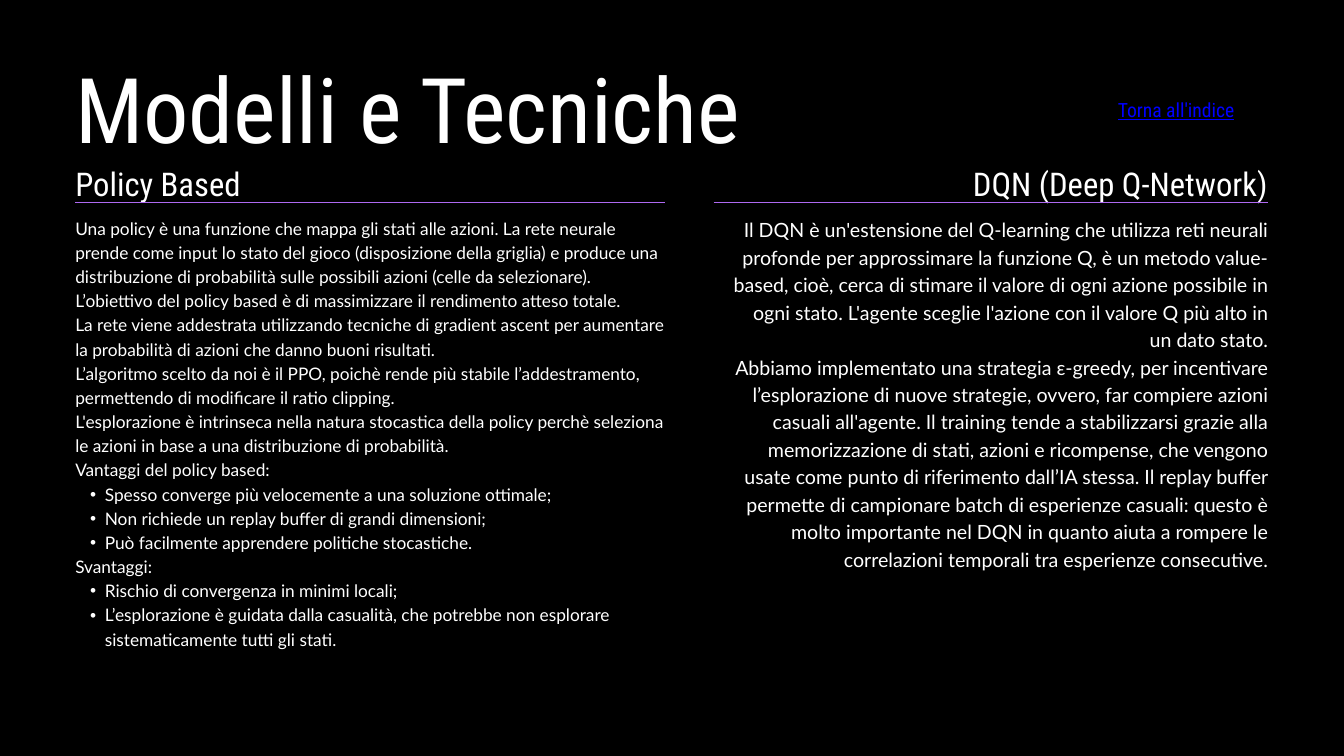
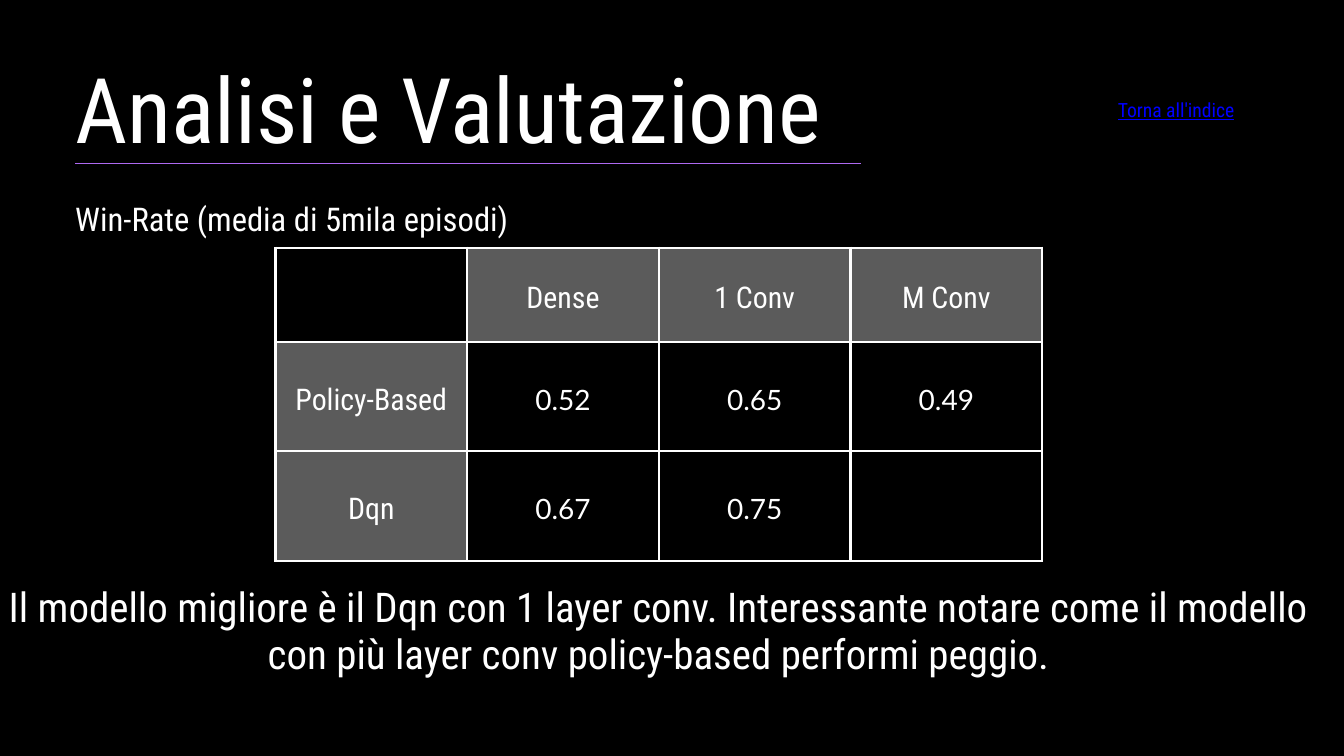
from lxml import etree
from pptx import Presentation
from pptx.dml.color import RGBColor
from pptx.enum.shapes import MSO_CONNECTOR
from pptx.enum.text import MSO_ANCHOR, MSO_AUTO_SIZE, PP_ALIGN as Align
from pptx.oxml import parse_xml
from pptx.oxml.ns import nsdecls, qn
from pptx.util import Inches, Pt

BLACK, WHITE, PURPLE, GREY, BLUE = "000000", "FFFFFF", "AE69F1", "5B5B5B", "0000FF"
HEADING_FONT, BODY_FONT = "Roboto Condensed", "Lato"
LEFT = 1.12
TITLE_BOX = (LEFT, 0.87, 11.69, 1.55)
INDEX_BOX = (15.85, 1.4, 2.52, 0.39)
HEADING_HEIGHT = 0.65
BULLET = "•"

TITLE = dict(font=HEADING_FONT, size=97, spacing=110.6)
HEADING = dict(font=HEADING_FONT, size=35, spacing=49)
INDEX = dict(font=HEADING_FONT, size=21, spacing=29.4, color=BLUE,
             underline=True, align=Align.RIGHT)
POLICY_BODY = dict(font=BODY_FONT, size=18.5, spacing=25.9)
DQN_BODY = dict(font=BODY_FONT, size=21, spacing=29.4, align=Align.RIGHT)
CONCLUSION = dict(font=HEADING_FONT, size=43.9, spacing=50, align=Align.CENTER)
TABLE_LABEL = dict(font=HEADING_FONT, size=32, spacing=44.8, align=Align.CENTER)
TABLE_VALUE = dict(font=BODY_FONT, size=30, spacing=42, align=Align.CENTER)

POLICY_TEXT = [
    "Una policy è una funzione che mappa gli stati alle azioni. La rete neurale prende come "
    "input lo stato del gioco (disposizione della griglia) e produce una distribuzione di "
    "probabilità sulle possibili azioni (celle da selezionare). L’obiettivo del policy based "
    "è di massimizzare il rendimento atteso totale.",
    "La rete viene addestrata utilizzando tecniche di gradient ascent per aumentare la "
    "probabilità di azioni che danno buoni risultati.",
    "L’algoritmo scelto da noi è il PPO, poichè rende più stabile l’addestramento, "
    "permettendo di modificare il ratio clipping.",
    "L'esplorazione è intrinseca nella natura stocastica della policy perchè seleziona le "
    "azioni in base a una distribuzione di probabilità.",
    "Vantaggi del policy based:",
    BULLET + "Spesso converge più velocemente a una soluzione ottimale;",
    BULLET + "Non richiede un replay buffer di grandi dimensioni;",
    BULLET + "Può facilmente apprendere politiche stocastiche.",
    "Svantaggi:",
    BULLET + "Rischio di convergenza in minimi locali;",
    BULLET + "L’esplorazione è guidata dalla casualità, che potrebbe non esplorare "
    "sistematicamente tutti gli stati.",
]
DQN_TEXT = [
    "Il DQN è un'estensione del Q-learning che utilizza reti neurali profonde per "
    "approssimare la funzione Q, è un metodo value-based, cioè, cerca di stimare il valore "
    "di ogni azione possibile in ogni stato. L'agente sceglie l'azione con il valore Q più "
    "alto in un dato stato.",
    "Abbiamo implementato una strategia ε-greedy, per incentivare l’esplorazione di nuove "
    "strategie, ovvero, far compiere azioni casuali all'agente. Il training tende a "
    "stabilizzarsi grazie alla memorizzazione di stati, azioni e ricompense, che vengono "
    "usate come punto di riferimento dall’IA stessa. Il replay buffer permette di campionare "
    "batch di esperienze casuali: questo è molto importante nel DQN in quanto aiuta a "
    "rompere le correlazioni temporali tra esperienze consecutive.",
]
WIN_RATES = [
    ["", "Dense", "1 Conv", "M Conv"],
    ["Policy-Based", "0.52", "0.65", "0.49"],
    ["Dqn", "0.67", "0.75", ""],
]


def rgb(color):
    return RGBColor.from_string(color)


def assign(target, values):
    for name, value in values.items():
        setattr(target, name, value)


def set_bullet(paragraph, bulleted):
    properties = paragraph._p.get_or_add_pPr()
    margin, indent = (0.44, -0.22) if bulleted else (0, 0)
    properties.set("marL", str(Inches(margin)))
    properties.set("indent", str(Inches(indent)))
    if bulleted:
        etree.SubElement(properties, qn("a:buChar"), char=BULLET)
    else:
        etree.SubElement(properties, qn("a:buNone"))


def write(frame, lines, style):
    """Fill a text frame; lines that start with the bullet sign become list items."""
    for number, line in enumerate(lines):
        paragraph = frame.add_paragraph() if number else frame.paragraphs[0]
        assign(paragraph, dict(alignment=style.get("align", Align.LEFT),
                               line_spacing=Pt(style["spacing"]),
                               space_before=Pt(0), space_after=Pt(0)))
        set_bullet(paragraph, line.startswith(BULLET))
        run = paragraph.add_run()
        run.text = line.removeprefix(BULLET)
        assign(run.font, dict(name=style["font"], size=Pt(style["size"]), bold=False,
                              underline=style.get("underline", False)))
        run.font.color.rgb = rgb(style.get("color", WHITE))


def place_text(shape, box, lines, style):
    for side, length in zip(("left", "top", "width", "height"), box):
        setattr(shape, side, Inches(length))
    assign(shape.text_frame, dict(word_wrap=True, auto_size=MSO_AUTO_SIZE.NONE,
                                  vertical_anchor=MSO_ANCHOR.TOP, margin_left=0,
                                  margin_top=0, margin_right=0, margin_bottom=0))
    write(shape.text_frame, lines, style)


def add_text(slide, box, line, style):
    place_text(slide.shapes.add_textbox(0, 0, 0, 0), box, [line], style)


def add_rule(slide, left, y, width):
    rule = slide.shapes.add_connector(MSO_CONNECTOR.STRAIGHT, Inches(left), Inches(y),
                                      Inches(left + width), Inches(y))
    rule.line.color.rgb = rgb(PURPLE)
    rule.line.width = Pt(1.5)
    etree.SubElement(rule._element.spPr, qn("a:effectLst"))


def add_titled_slide(prs, layout_name, title):
    slide = prs.slides.add_slide(prs.slide_layouts.get_by_name(layout_name))
    place_text(slide.shapes.title, TITLE_BOX, [title], TITLE)
    add_text(slide, INDEX_BOX, "Torna all'indice", INDEX)
    return slide


def fill_column(slide, first_placeholder, box, heading, lines, style, align, inset=0):
    """Heading, rule and body of one method, inside box."""
    left, top, width, height = box
    heading_holder, body_holder = (slide.placeholders[first_placeholder + step]
                                   for step in (0, 1))
    add_rule(slide, left, top + 0.67, width)
    place_text(heading_holder, (left, top, width, HEADING_HEIGHT), [heading],
               HEADING | dict(align=align))
    place_text(body_holder, (left + inset, top + 0.85, width - inset, height - 0.85),
               lines, style)


def border_cell(cell):
    properties = cell._tc.get_or_add_tcPr()
    for position, side in enumerate("LRTB"):
        properties.insert(position, parse_xml(
            f'<a:ln{side} {nsdecls("a")} w="{Pt(3)}"><a:solidFill>'
            f'<a:srgbClr val="{WHITE}"/></a:solidFill></a:ln{side}>'))


def add_win_rates(slide, box):
    left, top, width, height = map(Inches, box)
    table = slide.shapes.add_table(len(WIN_RATES), len(WIN_RATES[0]),
                                   left, top, width, height).table
    assign(table, dict(first_row=False, horz_banding=False))
    for row, row_height in zip(table.rows, (1.4, 1.62, 1.64)):
        row.height = Inches(row_height)
    for r, texts in enumerate(WIN_RATES):
        for c, text in enumerate(texts):
            cell = table.cell(r, c)
            is_label = (r == 0) != (c == 0)
            margin = Inches(0.21)
            assign(cell, dict(vertical_anchor=MSO_ANCHOR.MIDDLE, margin_left=margin,
                              margin_right=margin, margin_top=margin, margin_bottom=margin))
            if is_label:
                cell.fill.solid()
                cell.fill.fore_color.rgb = rgb(GREY)
            else:
                cell.fill.background()
            border_cell(cell)
            if text:
                write(cell.text_frame, [text], TABLE_LABEL if is_label else TABLE_VALUE)


def build_methods(prs):
    slide = add_titled_slide(prs, "Comparison", "Modelli e Tecniche")
    fill_column(slide, 1, (LEFT, 2.34, 8.77, 7.57), "Policy Based",
                POLICY_TEXT, POLICY_BODY, Align.JUSTIFY)
    fill_column(slide, 3, (10.62, 2.34, 8.25, 6.12), "DQN (Deep Q-Network)",
                DQN_TEXT, DQN_BODY, Align.RIGHT, inset=0.26)


def build_evaluation(prs):
    slide = add_titled_slide(prs, "Title Only", "Analisi e Valutazione")
    add_rule(slide, LEFT, 2.43, 11.7)
    add_text(slide, (LEFT, 2.86, 8.77, HEADING_HEIGHT), "Win-Rate (media di 5mila episodi)",
             HEADING | dict(align=Align.JUSTIFY))
    add_win_rates(slide, (4.1, 3.69, 11.41, 4.66))
    add_text(slide, (0, 8.69, 19.61, 1.39),
             "Il modello migliore è il Dqn con 1 layer conv. Interessante notare come il "
             "modello con più layer conv policy-based performi peggio.", CONCLUSION)


def main():
    prs = Presentation()
    assign(prs, dict(slide_width=Inches(20), slide_height=Inches(11.25)))
    backdrop = prs.slide_master.background.fill
    backdrop.solid()
    backdrop.fore_color.rgb = rgb(BLACK)
    build_methods(prs)
    build_evaluation(prs)
    prs.save("out.pptx")


if __name__ == "__main__":
    main()
